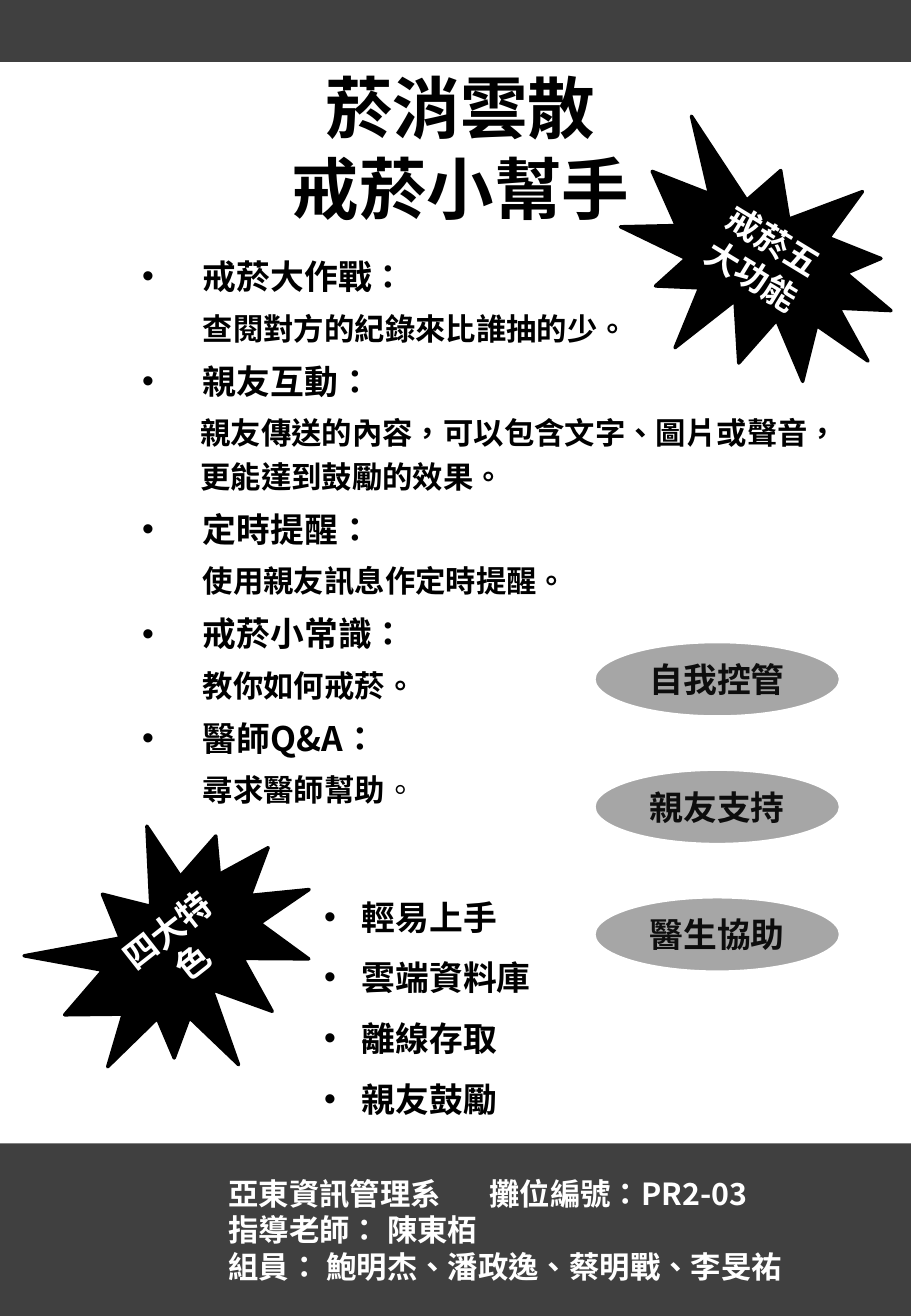
from dataclasses import dataclass

from lxml.etree import SubElement
from pptx import Presentation
from pptx.dml.color import RGBColor
from pptx.enum.shapes import MSO_SHAPE
from pptx.enum.text import MSO_ANCHOR, MSO_AUTO_SIZE, PP_ALIGN
from pptx.oxml.ns import qn
from pptx.util import Pt

PX = 9144  # EMU per px, 100 px to the inch
JP, SC, TC = "Noto Sans CJK JP", "Noto Sans CJK SC", "Noto Sans CJK TC"
BLACK, WHITE, DARK, GREY, INK = "000000", "FFFFFF", "404040", "A6A6A6", "0D0D0D"


@dataclass
class Box:
    left: int
    top: int
    width: int
    height: int


@dataclass
class Label:
    box: Box
    text: str
    rotation: float = 0


@dataclass
class Feature:
    name: str
    detail: str
    indent: int = 50
    ending: str = ""


BURSTS = [
    Label(Box(510, 123, 233, 190), "戒菸五大功能", 31.3),
    Label(Box(42, 682, 222, 201), "四大特色", 321.8),
]
FEATURES = [
    Feature("戒菸大作戰", "查閱對方的紀錄來比誰抽的少。"),
    Feature("親友互動", "親友傳送的內容，可以包含文字、圖片或聲音，更能達到鼓勵的效果。", 48),
    Feature("定時提醒", "使用親友訊息作定時提醒。"),
    Feature("戒菸小常識", "教你如何戒菸。"),
    Feature("醫師Q&A", "尋求醫師幫助", ending="。"),
]
QUALITIES = ["輕易上手", "雲端資料庫", "離線存取", "親友鼓勵"]
SUPPORTS = ["自我控管", "親友支持", "醫生協助"]
CREDITS = ["亞東資訊管理系\t攤位編號：PR2-03", "指導老師： 陳東栢", "組員： 鮑明杰、潘政逸、蔡明戰、李旻祐"]


def color(value: str) -> RGBColor:
    return RGBColor.from_string(value)


def place(shape, box: Box) -> None:
    shape.left, shape.top = box.left * PX, box.top * PX
    shape.width, shape.height = box.width * PX, box.height * PX


def add_run(paragraph, text: str, size: int, face: str, ink: str = BLACK, bold: bool = True) -> None:
    run = paragraph.add_run()
    run.text = text
    font = run.font
    font.size, font.bold, font.name = Pt(size), bold, face
    font.color.rgb = color(ink)
    properties = run._r.get_or_add_rPr()
    properties.set("lang", "zh-TW")
    SubElement(properties, qn("a:ea")).set("typeface", face)


def next_paragraph(frame, spacing: float = 1.0, align=PP_ALIGN.LEFT):
    first = frame.paragraphs[0]
    paragraph = frame.add_paragraph() if first.runs else first
    paragraph.line_spacing = spacing
    paragraph.alignment = align
    return paragraph


def set_indent(paragraph, margin: int, bullet: bool = False) -> None:
    properties = paragraph._p.get_or_add_pPr()
    properties.set("marL", str(margin * PX))
    properties.set("indent", str(-margin * PX if bullet else 0))
    if bullet:
        SubElement(properties, qn("a:buFont")).set("typeface", "Arial")
        SubElement(properties, qn("a:buChar")).set("char", "•")


def add_panel(slide, kind, box: Box, fill: str, line: str = ""):
    shape = slide.shapes.add_shape(kind, 0, 0, 0, 0)
    place(shape, box)
    shape.shadow.inherit = False
    shape.fill.solid()
    shape.fill.fore_color.rgb = color(fill)
    if line:
        shape.line.color.rgb = color(line)
        shape.line.width = Pt(2)
    else:
        shape.line.fill.background()
    shape.text_frame.word_wrap = True
    shape.text_frame.vertical_anchor = MSO_ANCHOR.MIDDLE
    return shape


def add_label(slide, kind, label: Label, fill: str, line: str, face: str, ink: str) -> None:
    shape = add_panel(slide, kind, label.box, fill, line)
    shape.rotation = label.rotation
    paragraph = next_paragraph(shape.text_frame, align=PP_ALIGN.CENTER)
    add_run(paragraph, label.text, 20, face, ink)


def fill_title(title) -> None:
    place(title, Box(60, 46, 638, 150))
    frame = title.text_frame
    frame.auto_size = MSO_AUTO_SIZE.NONE
    frame.vertical_anchor = MSO_ANCHOR.MIDDLE
    paragraph = next_paragraph(frame, align=PP_ALIGN.CENTER)
    add_run(paragraph, "菸消雲散", 40, SC)
    paragraph.add_line_break()
    add_run(paragraph, "戒菸小幫手", 40, SC)


def fill_features(body) -> None:
    place(body, Box(107, 199, 583, 504))
    frame = body.text_frame
    frame.auto_size = MSO_AUTO_SIZE.NONE
    for index, feature in enumerate(FEATURES):
        heading = next_paragraph(frame, 1.2)
        heading.space_before = Pt(3.6 if index else 0)
        set_indent(heading, 50, bullet=True)
        add_run(heading, feature.name, 20, TC)
        add_run(heading, "：", 20, JP)
        detail = next_paragraph(frame, 1.2)
        detail.space_before = Pt(3.6)
        set_indent(detail, feature.indent)
        add_run(detail, feature.detail, 18, SC)
        if feature.ending:
            add_run(detail, feature.ending, 18, SC, bold=False)


def add_qualities(slide) -> None:
    text_box = slide.shapes.add_textbox(0, 0, 0, 0)
    place(text_box, Box(257, 716, 319, 212))
    text_box.text_frame.word_wrap = True
    for quality in QUALITIES:
        paragraph = next_paragraph(text_box.text_frame, 1.5)
        set_indent(paragraph, 31, bullet=True)
        add_run(paragraph, quality, 20, "Calibri")


def add_credits(slide) -> None:
    bar = add_panel(slide, MSO_SHAPE.RECTANGLE, Box(-184, 941, 1102, 142), DARK)
    bar.text_frame.margin_left = 372 * PX
    for credit in CREDITS:
        paragraph = next_paragraph(bar.text_frame)
        if "\t" in credit:
            tabs = SubElement(paragraph._p.get_or_add_pPr(), qn("a:tabLst"))
            tab = SubElement(tabs, qn("a:tab"))
            tab.set("pos", str(215 * PX))
            tab.set("algn", "l")
        add_run(paragraph, credit, 18, JP, WHITE)


def main() -> None:
    presentation = Presentation()
    presentation.slide_width, presentation.slide_height = 750 * PX, 1083 * PX
    slide = presentation.slides.add_slide(presentation.slide_layouts[0])

    # Title and the five functions
    fill_title(slide.shapes.title)
    fill_features(slide.placeholders[1])

    # Star bursts
    for burst in BURSTS:
        add_label(slide, MSO_SHAPE.EXPLOSION1, burst, BLACK, BLACK, JP, WHITE)

    # Top bar, four qualities and bottom bar
    add_panel(slide, MSO_SHAPE.RECTANGLE, Box(-184, 0, 1102, 51), DARK)
    add_qualities(slide)
    add_credits(slide)

    # Support ovals
    for index, support in enumerate(SUPPORTS):
        oval = Label(Box(489, 528 + 105 * index, 203, 62), support)
        add_label(slide, MSO_SHAPE.OVAL, oval, GREY, WHITE, TC, INK)

    presentation.save("out.pptx")


if __name__ == "__main__":
    main()
